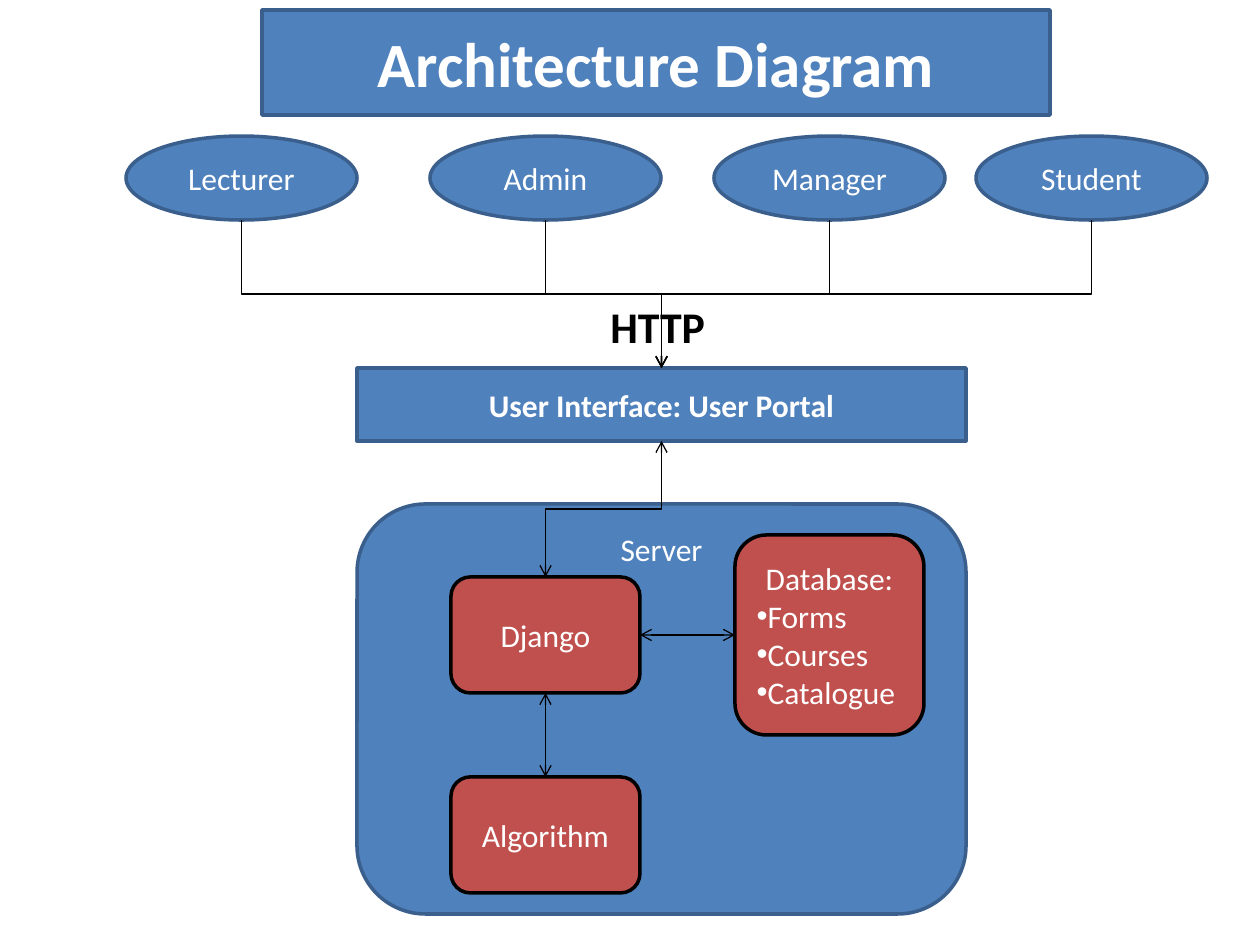
from pptx import Presentation, util as u
from pptx.dml.color import RGBColor
from pptx.enum import shapes, text
from pptx.oxml.ns import qn
from lxml import etree

SCALE = u.Inches(1) / 126
THEME = {
    "font": "Calibri", "blue": "4F81BD", "blue_edge": "3A5F8C", "red": "C0504D",
    "black": "000000", "white": "FFFFFF",
    "title": 36, "label": 25, "body": 18, "edge": 2, "arrow": 0.75,
}
OVAL = shapes.MSO_SHAPE.OVAL
RECTANGLE = shapes.MSO_SHAPE.RECTANGLE
ROUNDED = shapes.MSO_SHAPE.ROUNDED_RECTANGLE

# Boxes are left, top, width, height
TITLE = ("Architecture Diagram", (262, 10, 788, 105))
HTTP = ("HTTP", (598, 294, 189, 66))
USERS = [("Lecturer", 126), ("Admin", 430), ("Manager", 714), ("Student", 976)]
USER_TOP, USER_WIDTH, USER_HEIGHT = 136, 231, 84
SERVER = ("Server", (357, 504, 609, 410))
PORTAL = ("User Interface: User Portal", (357, 368, 609, 73))
DJANGO = ("Django", (451, 577, 189, 116))
ALGORITHM = ("Algorithm", (451, 777, 189, 116))
DATABASE = ("Database:", (735, 535, 189, 200))
TABLES = ["Forms", "Courses", "Catalogue"]


def emu(pixels):
    """Turn pixels into EMU."""
    return u.Emu(round(pixels * SCALE))


def color(name):
    """Look up a theme colour."""
    return RGBColor.from_string(THEME[name])


def place(shape, box):
    """Move and size a shape."""
    shape.left, shape.top, shape.width, shape.height = map(emu, box)


def paint(shape, fill, edge):
    """Set fill and outline."""
    shape.fill.solid()
    shape.fill.fore_color.rgb = color(fill)
    shape.line.color.rgb = color(edge)
    shape.line.width = u.Pt(THEME["edge"])


def style_text(frame, size="body", ink="white", bold=False,
               align=text.PP_ALIGN.CENTER, anchor=text.MSO_ANCHOR.MIDDLE):
    """Format all the text of a frame."""
    frame.word_wrap = True
    frame.vertical_anchor = anchor
    for paragraph in frame.paragraphs:
        paragraph.alignment = align
        for run in paragraph.runs:
            run.font.name = THEME["font"]
            run.font.size = u.Pt(THEME[size])
            run.font.bold = bold
            run.font.color.rgb = color(ink)


def add_box(slide, kind, label, box, fill="blue", edge="blue_edge", **text_style):
    """Add a labelled shape."""
    shape = slide.shapes.add_shape(kind, *map(emu, box))
    shape.shadow.inherit = False
    paint(shape, fill, edge)
    shape.text_frame.text = label
    style_text(shape.text_frame, **text_style)
    return shape


def add_bullets(frame, items):
    """Append left-aligned bullet paragraphs."""
    for item in items:
        paragraph = frame.add_paragraph()
        paragraph.text = item
    style_text(frame)
    for paragraph in frame.paragraphs[1:]:
        paragraph.alignment = text.PP_ALIGN.LEFT
        properties = paragraph._p.get_or_add_pPr()
        etree.SubElement(properties, qn("a:buFont")).set("typeface", "Arial")
        etree.SubElement(properties, qn("a:buChar")).set("char", "•")


def side(box, name):
    """Give the middle point of one side of a box."""
    left, top, width, height = box
    return {
        "top": (left + width / 2, top), "bottom": (left + width / 2, top + height),
        "left": (left, top + height / 2), "right": (left + width, top + height / 2),
    }[name]


def add_arrow(slide, start, end, both=True):
    """Join two points: straight if aligned, else down, across and down."""
    (x1, y1), (x2, y2) = start, end
    bent = x1 != x2 and y1 != y2
    kind = shapes.MSO_CONNECTOR.ELBOW if bent else shapes.MSO_CONNECTOR.STRAIGHT
    arrow = slide.shapes.add_connector(kind, *map(emu, (x1, y1, x2, y2)))
    properties = arrow._element.spPr
    if bent:
        # A quarter turn swaps width and height around the same centre
        width, height = y2 - y1, abs(x2 - x1)
        place(arrow, ((x1 + x2 - width) / 2, (y1 + y2 - height) / 2, width, height))
        frame = properties.find(qn("a:xfrm"))
        frame.attrib.pop("flipH", None)
        frame.set("rot", str((90 if x2 < x1 else 270) * 60000))
        if x2 > x1:
            frame.set("flipH", "1")
    arrow.line.color.rgb = color("black")
    arrow.line.width = u.Pt(THEME["arrow"])
    line = properties.find(qn("a:ln"))
    for end_name in ("headEnd", "tailEnd") if both else ("tailEnd",):
        etree.SubElement(line, qn("a:" + end_name)).set("type", "arrow")
    etree.SubElement(properties, qn("a:effectLst"))


def build():
    """Build and save the slide."""
    presentation = Presentation()
    presentation.slide_width, presentation.slide_height = u.Inches(10), u.Inches(7.5)
    slide = presentation.slides.add_slide(presentation.slide_layouts[5])

    title = slide.shapes.title
    place(title, TITLE[1])
    paint(title, "blue", "blue_edge")
    title.text_frame.text = TITLE[0]
    style_text(title.text_frame, size="title", bold=True)

    add_box(slide, ROUNDED, *SERVER, anchor=text.MSO_ANCHOR.TOP)
    add_box(slide, RECTANGLE, *PORTAL, bold=True)
    for label, left in USERS:
        box = (left, USER_TOP, USER_WIDTH, USER_HEIGHT)
        add_box(slide, OVAL, label, box)
        add_arrow(slide, side(box, "bottom"), side(PORTAL[1], "top"), both=False)

    for label, box in (DJANGO, ALGORITHM):
        add_box(slide, ROUNDED, label, box, "red", "black")
    database = add_box(slide, ROUNDED, *DATABASE, "red", "black")
    add_bullets(database.text_frame, TABLES)

    http = slide.shapes.add_textbox(*map(emu, HTTP[1]))
    http.text_frame.text = HTTP[0]
    style_text(http.text_frame, "label", "black", True,
               text.PP_ALIGN.LEFT, text.MSO_ANCHOR.TOP)

    add_arrow(slide, side(PORTAL[1], "bottom"), side(DJANGO[1], "top"))
    add_arrow(slide, side(DJANGO[1], "right"), side(DATABASE[1], "left"))
    add_arrow(slide, side(ALGORITHM[1], "top"), side(DJANGO[1], "bottom"))
    presentation.save("out.pptx")


build()
